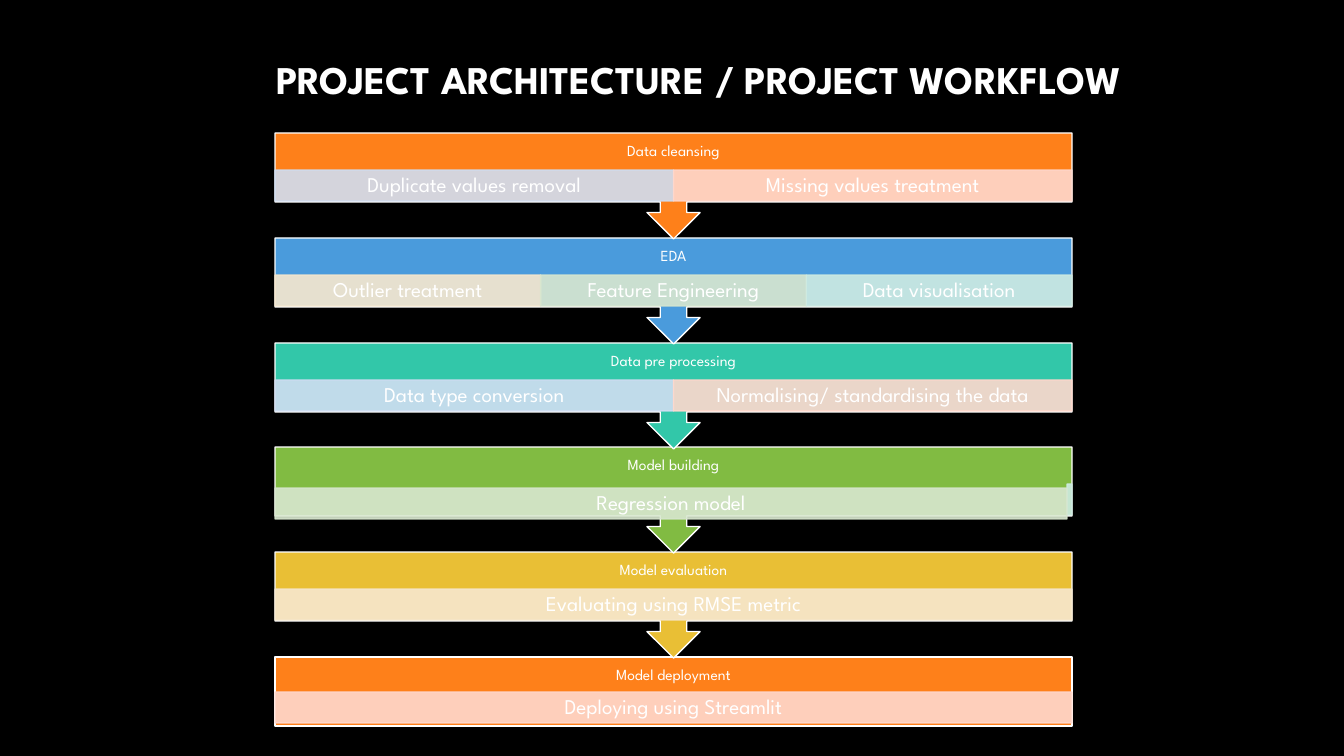
from dataclasses import dataclass

from lxml.etree import SubElement
from pptx import Presentation
from pptx.dml.color import RGBColor as RGB
from pptx.enum.shapes import MSO_SHAPE as Shape
from pptx.enum.text import MSO_ANCHOR as Anchor, PP_ALIGN as Align
from pptx.oxml.ns import qn
from pptx.util import Emu, Pt


@dataclass(frozen=True)
class Theme:
    font: str = "League Spartan"
    back: str = "000000"
    white: str = "FFFFFF"
    orange: str = "FE801A"
    blue: str = "4A9BDC"
    teal: str = "32C7A9"
    green: str = "81BB42"
    gold: str = "E9BF35"
    peach: str = "FFD8CD"
    ice: str = "D0DEF2"
    sand: str = "F7E8CE"
    sage: str = "D8E7CF"
    mint: str = "CEEBE2"
    title: int = 28
    head: int = 11
    task: int = 15


T = Theme()
LEFT, TOP, WIDTH, PITCH = 275, 133, 797, 104.8
HEAD_H, TASK_H, BODY_H, STEP_H = 37, 31, 69, 106

# Name, colour, offset of the tasks, tasks with their colours
STAGES = [
    ("Data cleansing", T.orange, 37,
     [("Duplicate values removal", T.ice), ("Missing values treatment", T.peach)]),
    ("EDA", T.blue, 37,
     [("Outlier treatment", T.sand), ("Feature Engineering", T.sage),
      ("Data visualisation", T.mint)]),
    ("Data pre processing", T.teal, 37,
     [("Data type conversion", T.ice),
      ("Normalising/ standardising the data", T.peach)]),
    ("Model building", T.green, 41, [("Regression model", T.sage)]),
    ("Model evaluation", T.gold, 37, [("Evaluating using RMSE metric", T.sand)]),
    ("Model deployment", T.orange, 35, [("Deploying using Streamlit", T.peach)]),
]
SLIVER = 5  # narrow empty task beside the model building one


def px(*nums):
    return [Emu(round(n * 914400 / 100.8)) for n in nums]


def write(shape, text, size, align=Align.CENTER, bold=False, inset=(9, 9)):
    frame = shape.text_frame
    frame.word_wrap = True
    frame.vertical_anchor = Anchor.MIDDLE
    side, edge = px(*inset)
    frame.margin_left = frame.margin_right = side
    frame.margin_top = frame.margin_bottom = edge
    para = frame.paragraphs[0]
    para.text = text
    para.alignment = align
    para.line_spacing = 0.9
    font = para.font
    font.name, font.size, font.bold = T.font, Pt(size), bold
    font.color.rgb = RGB.from_string(T.white)


def label(slide, box, text, size, **style):
    write(slide.shapes.add_textbox(*px(*box)), text, size, **style)


def block(slide, kind, box, fill, line):
    shape = slide.shapes.add_shape(kind, *px(*box))
    shape.shadow.inherit = False
    shape.fill.solid()
    shape.fill.fore_color.rgb = RGB.from_string(fill)
    shape.line.color.rgb = RGB.from_string(line)
    shape.line.width = Pt(1)
    return shape


def task(slide, box, color, text=""):
    """Draw a pale bar, slightly see-through in both fill and line."""
    shape = block(slide, Shape.RECTANGLE, box, color, color)
    for clr in shape._element.spPr.iter(qn("a:srgbClr")):
        SubElement(clr, qn("a:alpha"), val="90000")
    if text:
        write(shape, text, T.task, inset=(12, 2))


def stage(slide, row):
    name, color, drop, tasks = STAGES[row]
    top = round(TOP + row * PITCH)
    if row == len(STAGES) - 1:
        block(slide, Shape.RECTANGLE, (LEFT, top, WIDTH, BODY_H), color, T.white)
    else:
        box = (LEFT, top, WIDTH, STEP_H)
        arrow = block(slide, Shape.UP_ARROW_CALLOUT, box, color, T.white)
        arrow.rotation = 180
    label(slide, (LEFT, top, WIDTH, HEAD_H), name, T.head)

    span = WIDTH
    if name == "Model building":
        span -= SLIVER
        task(slide, (LEFT + span, top + 37, SLIVER, TASK_H), T.mint)
    wide = span / len(tasks)
    for col, (text, tint) in enumerate(tasks):
        task(slide, (LEFT + col * wide, top + drop, wide, TASK_H), tint, text)


def main():
    deck = Presentation()
    deck.slide_width, deck.slide_height = px(1344, 756)
    slide = deck.slides.add_slide(deck.slide_layouts[6])
    back = slide.background.fill
    back.solid()
    back.fore_color.rgb = RGB.from_string(T.back)

    label(slide, (191, 46, 940, 72), "PROJECT ARCHITECTURE / PROJECT WORKFLOW",
          T.title, align=Align.RIGHT, bold=True, inset=(10, 5))
    # Bottom up, so that each arrow tip lies over the next stage
    for row in reversed(range(len(STAGES))):
        stage(slide, row)
    deck.save("out.pptx")


if __name__ == "__main__":
    main()
